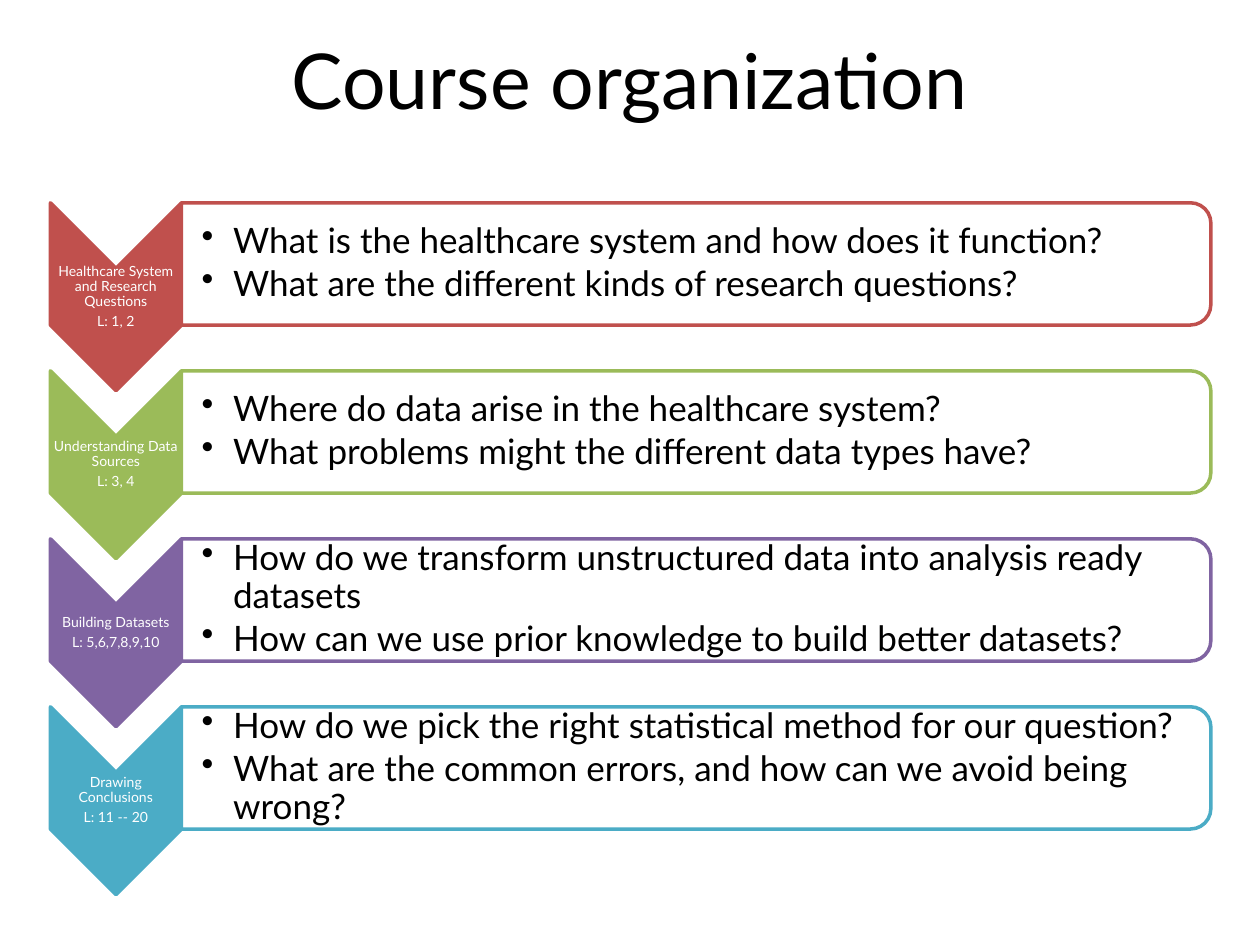
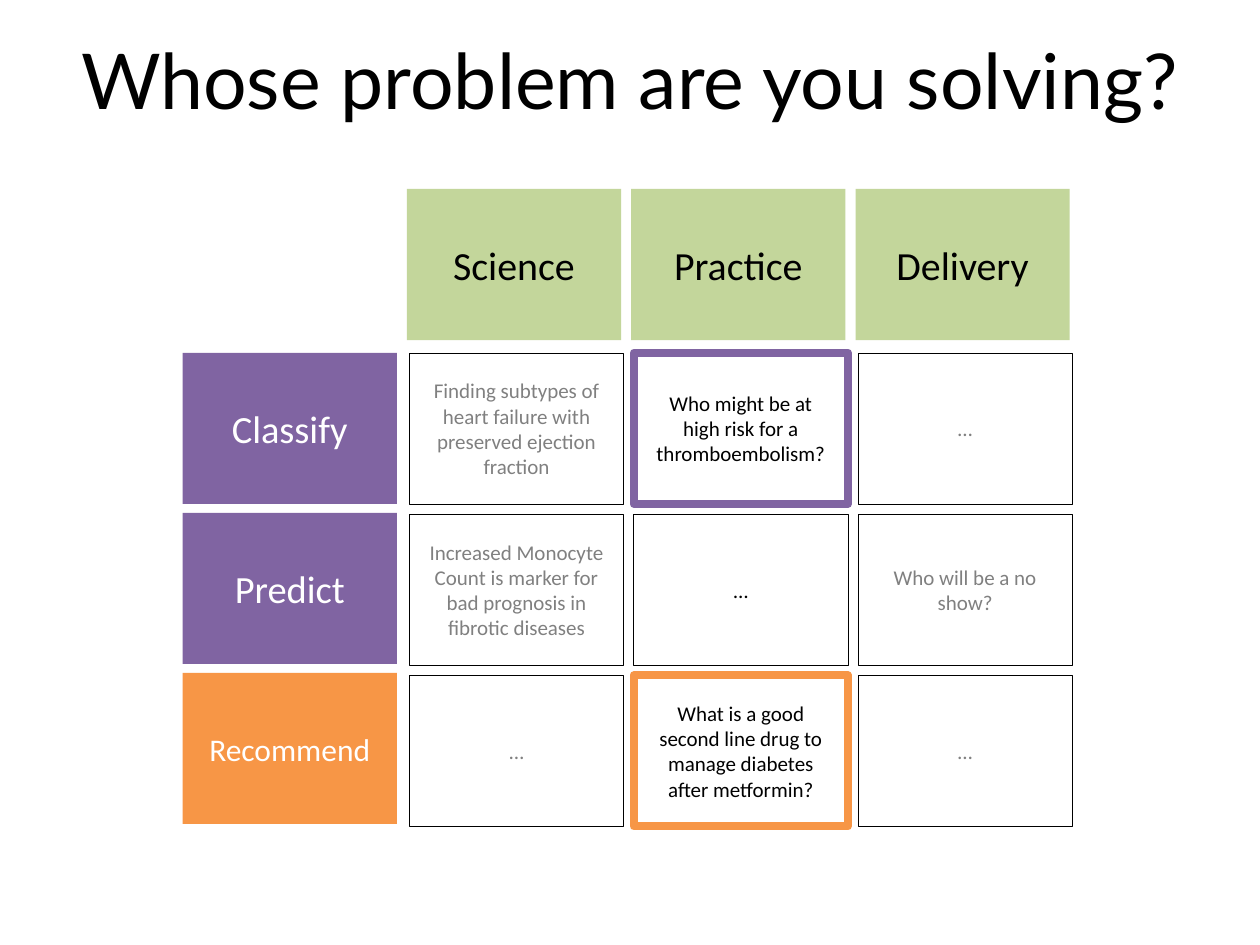
from dataclasses import dataclass

from lxml.etree import SubElement
from pptx import Presentation
from pptx.dml.color import RGBColor
from pptx.enum.shapes import MSO_SHAPE as Shape
from pptx.enum.text import MSO_ANCHOR as Anchor, PP_ALIGN as Align
from pptx.oxml.ns import qn
from pptx.util import Inches, Pt


@dataclass(frozen=True)
class Theme:
    black: str = "000000"
    white: str = "FFFFFF"
    gray: str = "808080"
    red: str = "C0504D"
    green: str = "9BBB59"
    pale_green: str = "C3D69B"
    purple: str = "8064A2"
    teal: str = "4BACC6"
    orange: str = "F79646"
    title_font: str = "Lato"
    grid_font: str = "Calibri"
    title_size: float = 44
    header_size: float = 22.8
    label_size: float = 22
    small_label_size: float = 18
    question_size: float = 20
    cell_size: float = 12
    topic_size: float = 8


@dataclass(frozen=True)
class Grid:
    """Equal cells, in inches, at a fixed pitch from the first one."""
    left: float
    top: float
    width: float
    height: float
    column_pitch: float = 0
    row_pitch: float = 0

    def cell(self, column=0, row=0):
        return (self.left + column * self.column_pitch,
                self.top + row * self.row_pitch, self.width, self.height)


THEME = Theme()
SLIDE_WIDTH, SLIDE_HEIGHT = 10, 7.5
TITLE = Grid(0, 0, SLIDE_WIDTH, SLIDE_HEIGHT / 6)

STAGE_PITCH = 4 / 3
CHEVRONS = Grid(0.4, 1.61, 1.04, 1.49, row_pitch=STAGE_PITCH)
TOPICS = Grid(0.4, 2.13, 1.04, 0.45, row_pitch=STAGE_PITCH)
PANELS = Grid(1.44, 1.61, 8.17, 0.97, row_pitch=STAGE_PITCH)
QUESTIONS = Grid(1.44, 1.66, 8.12, 0.87, row_pitch=STAGE_PITCH)

STAGES = [
    (THEME.red,
     ["Healthcare System and Research Questions", "L: 1, 2"],
     ["What is the healthcare system and how does it function?",
      "What are the different kinds of research questions?"]),
    (THEME.green,
     ["Understanding Data Sources", "L: 3, 4"],
     ["Where do data arise in the healthcare system?",
      "What problems might the different data types have?"]),
    (THEME.purple,
     ["Building Datasets", "L: 5,6,7,8,9,10"],
     ["How do we transform unstructured data into analysis ready datasets",
      "How can we use prior knowledge to build better datasets?"]),
    (THEME.teal,
     ["Drawing Conclusions", "L: 11 -- 20"],
     ["How do we pick the right statistical method for our question?",
      "What are the common errors, and how can we avoid being wrong?"]),
]

HEADERS = Grid(3.23, 1.5, 1.7, 1.2, column_pitch=1.78)
LABELS = Grid(1.45, 2.8, 1.7, 1.2, row_pitch=1.27)
CELLS = Grid(3.25, 2.8, 1.7, 1.2, column_pitch=1.78, row_pitch=1.28)

AUDIENCES = ["Science", "Practice", "Delivery"]
PRACTICE = AUDIENCES.index("Practice")
# Each task: label, label size, fill, border of its practice cell, cell texts
TASKS = [
    ("Classify", THEME.label_size, THEME.purple, THEME.purple,
     ["Finding subtypes of heart failure with preserved ejection fraction",
      "Who might be at high risk for a thromboembolism?", "…"]),
    ("Predict", THEME.label_size, THEME.purple, None,
     ["Increased Monocyte Count is marker for bad prognosis in fibrotic diseases",
      "…", "Who will be a no show?"]),
    ("Recommend", THEME.small_label_size, THEME.orange, THEME.orange,
     ["…", "What is a good second line drug to manage diabetes after metformin?",
      "…"]),
]


def color(value):
    return RGBColor.from_string(value)


def inches(lengths):
    return [Inches(length) for length in lengths]


def add_bullet(para, indent):
    properties = para._p.get_or_add_pPr()
    properties.set("marL", str(Inches(indent)))
    properties.set("indent", str(-Inches(indent)))
    SubElement(properties, qn("a:buChar"), char="•")


def write(shape, lines, size, ink, font, margins, align=Align.CENTER,
          spacing=None, after=None, bullet_indent=None):
    """Fill a shape with equally styled paragraphs, centred vertically."""
    frame = shape.text_frame
    frame.word_wrap = True
    frame.vertical_anchor = Anchor.MIDDLE
    (frame.margin_left, frame.margin_top,
     frame.margin_right, frame.margin_bottom) = inches(margins)
    for number, line in enumerate(lines):
        para = frame.add_paragraph() if number else frame.paragraphs[0]
        para.text = line
        if bullet_indent:
            add_bullet(para, bullet_indent)
        para.alignment = align
        if spacing:
            para.line_spacing = spacing
        if after:
            para.space_after = Pt(after)
        para.font.size = Pt(size)
        para.font.name = font
        para.font.color.rgb = color(ink)


def add_text(page, place, lines, size, ink, margins, **style):
    box = page.shapes.add_textbox(*inches(place))
    write(box, lines, size, ink, THEME.title_font, margins, **style)


def add_block(page, kind, place, fill, border=None, border_width=2):
    block = page.shapes.add_shape(kind, *inches(place))
    block.shadow.inherit = False
    block.fill.solid()
    block.fill.fore_color.rgb = color(fill)
    if border:
        block.line.color.rgb = color(border)
        block.line.width = Pt(border_width)
    else:
        block.line.fill.background()
    return block


def add_turned_block(page, kind, place, fill, border):
    """Add a block turned a quarter clockwise that covers place once turned."""
    left, top, width, height = place
    shift = (width - height) / 2
    block = add_block(page, kind, (left + shift, top - shift, height, width),
                      fill, border)
    block.rotation = 90


def add_tile(page, place, text, size, ink, fill, border=None, border_width=0.25):
    tile = add_block(page, Shape.RECTANGLE, place, fill, border, border_width)
    write(tile, [text], size, ink, THEME.grid_font, (0.12, 0.06, 0.12, 0.06))


def add_page(deck, title):
    page = deck.slides.add_slide(deck.slide_layouts[6])
    add_text(page, TITLE.cell(), [title], THEME.title_size, THEME.black,
             (0.1, 0.05, 0.1, 0.05))
    return page


def add_stage(page, row, accent, topic, questions):
    add_turned_block(page, Shape.CHEVRON, CHEVRONS.cell(row=row), accent, accent)
    add_text(page, TOPICS.cell(row=row), topic, THEME.topic_size, THEME.white,
             (0.01,) * 4, spacing=0.9, after=0.35 * THEME.topic_size)
    add_turned_block(page, Shape.ROUND_2_SAME_RECTANGLE, PANELS.cell(row=row),
                     THEME.white, accent)
    add_text(page, QUESTIONS.cell(row=row), questions, THEME.question_size,
             THEME.black, (0.16, 0.01, 0.01, 0.01), align=Align.LEFT,
             spacing=0.9, after=0.15 * THEME.question_size, bullet_indent=0.25)


def add_task(page, row, label, label_size, fill, highlight, texts):
    add_tile(page, LABELS.cell(row=row), label, label_size, THEME.white, fill)
    for column, text in enumerate(texts):
        in_practice = column == PRACTICE
        ink = THEME.black if in_practice else THEME.gray
        border = (highlight, 4.5) if in_practice and highlight else (THEME.black, 0.25)
        add_tile(page, CELLS.cell(column, row), text, THEME.cell_size, ink,
                 THEME.white, *border)


def main():
    deck = Presentation()
    deck.slide_width, deck.slide_height = inches((SLIDE_WIDTH, SLIDE_HEIGHT))

    page = add_page(deck, "Course organization")
    for row, stage in enumerate(STAGES):
        add_stage(page, row, *stage)

    page = add_page(deck, "Whose problem are you solving?")
    for column, audience in enumerate(AUDIENCES):
        add_tile(page, HEADERS.cell(column), audience, THEME.header_size,
                 THEME.black, THEME.pale_green)
    for row, task in enumerate(TASKS):
        add_task(page, row, *task)

    deck.save("out.pptx")


if __name__ == "__main__":
    main()
